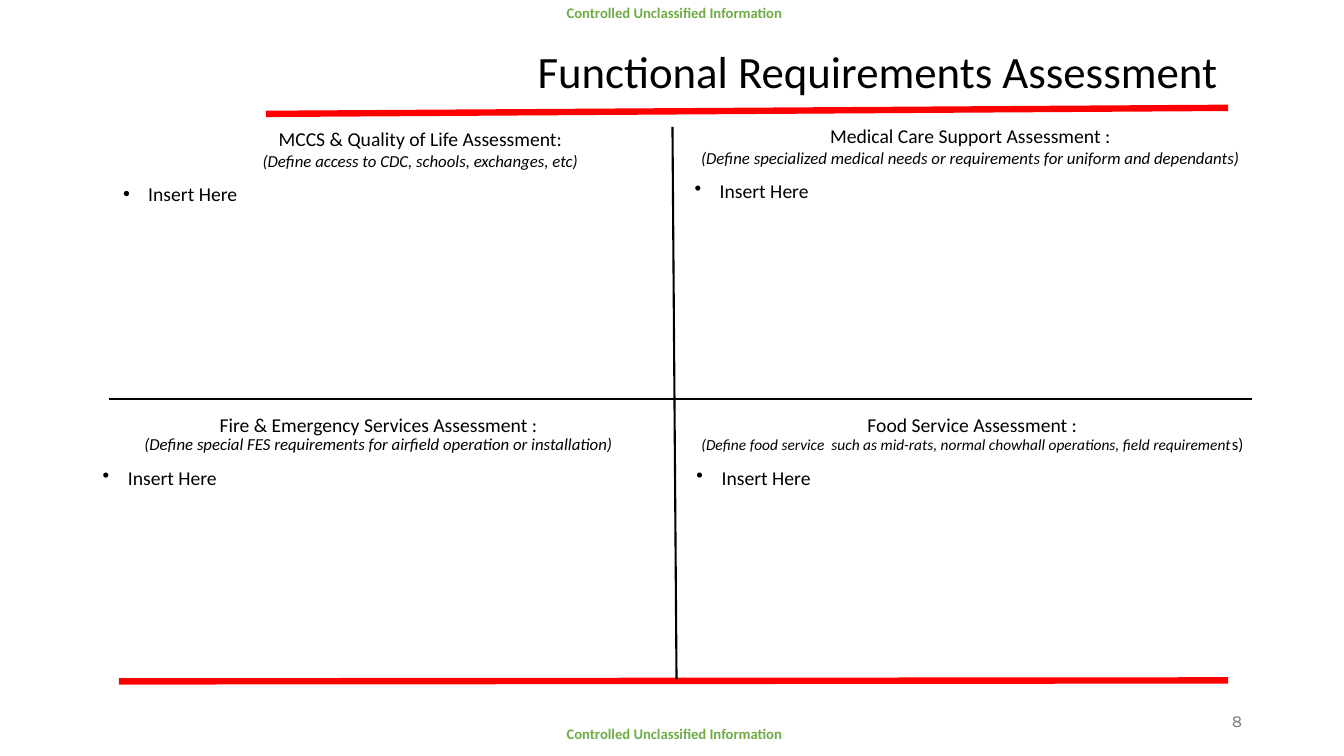
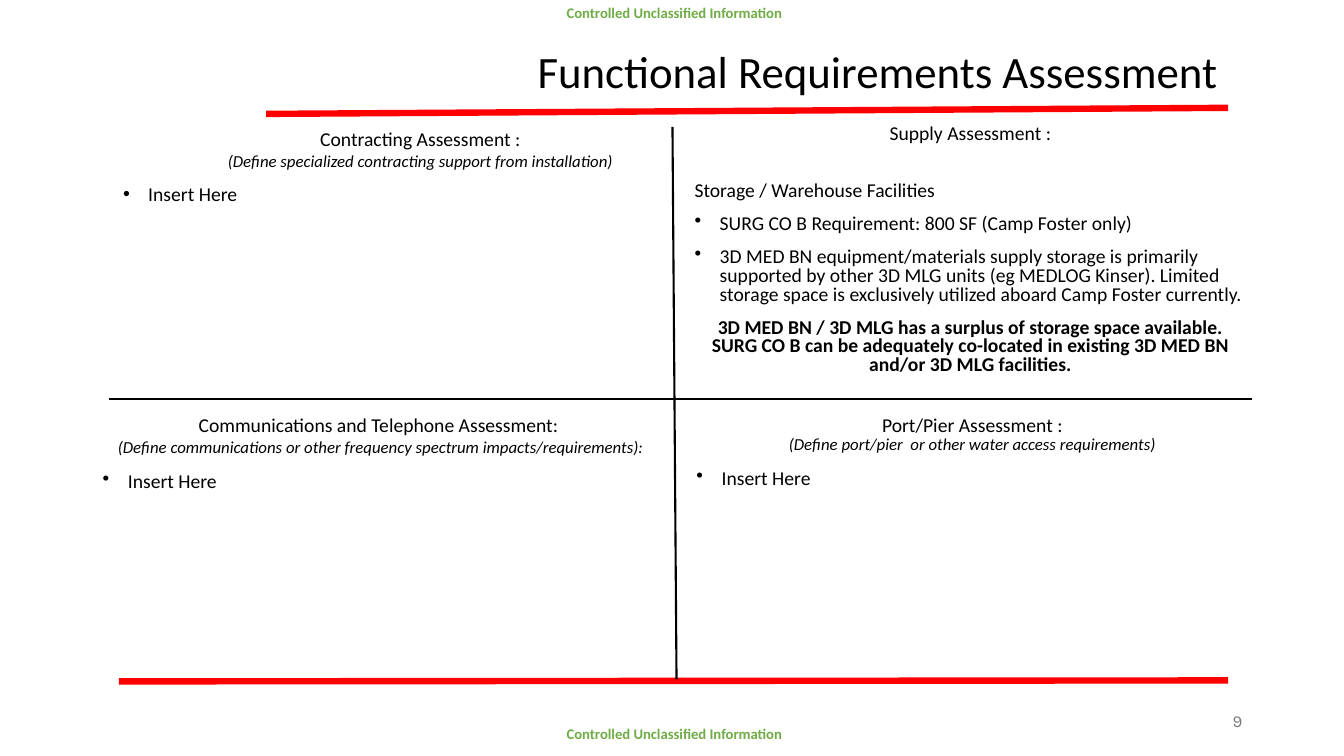
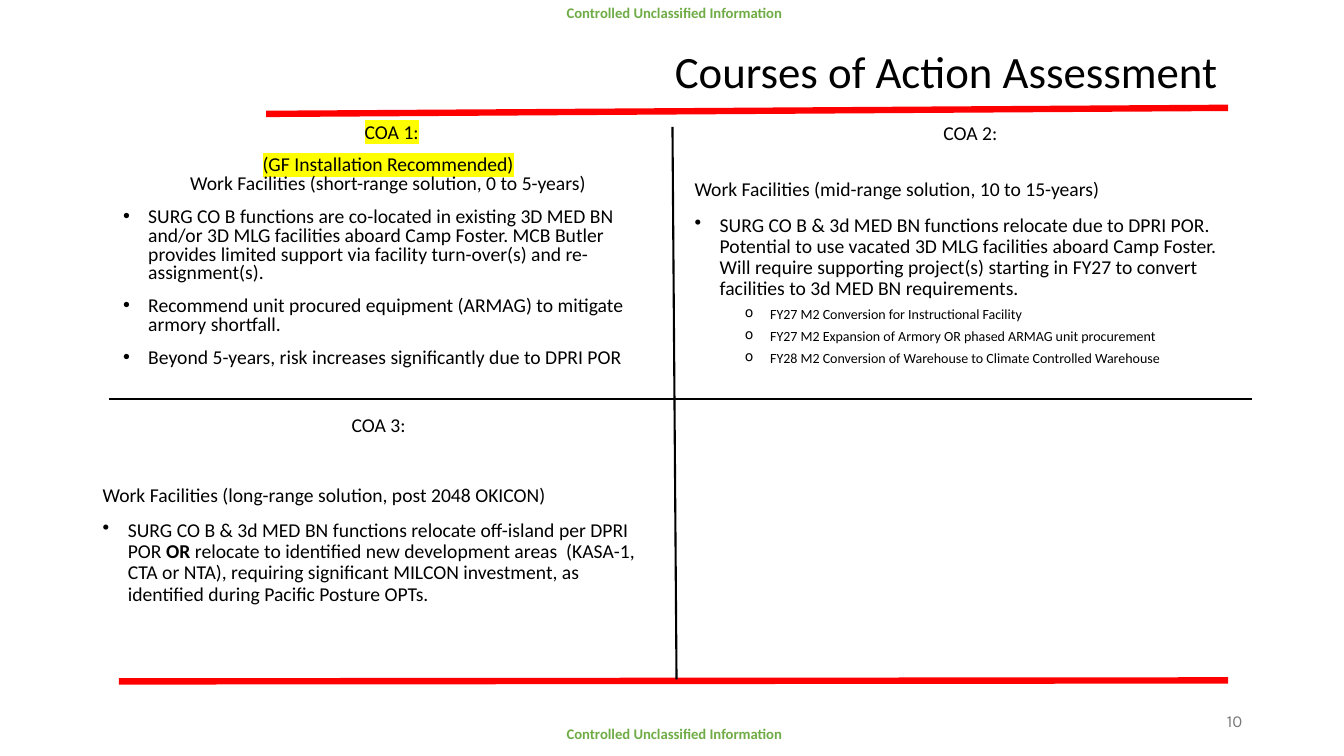
from dataclasses import dataclass

from lxml.etree import SubElement
from pptx import Presentation
from pptx.dml.color import RGBColor
from pptx.enum.shapes import MSO_CONNECTOR
from pptx.enum.text import MSO_ANCHOR, MSO_AUTO_SIZE, PP_ALIGN
from pptx.oxml.ns import qn
from pptx.util import Inches, Pt

COLORS = {"text": "000000", "rule": "FF0000", "marking": "6FAC46",
          "number": "797979", "highlight": "FFFF00"}
FONT = "Calibri"
NUMBER_FONT = "Karla"
MARKING = "Controlled Unclassified Information"
PANELS = {"nw": (1.12, 1.18, 5.46, 2.67), "ne": (6.79, 1.18, 5.67, 2.67),
          "sw": (0.92, 4.07, 5.67, 2.59), "se": (6.81, 4.07, 5.67, 2.59)}


@dataclass
class Para:
    runs: tuple
    align: PP_ALIGN = PP_ALIGN.LEFT
    line: float = 0.9
    before: float = 10
    left: float = 0
    bullet: str = ""
    size: float = 14
    level: int = 0


def heading(title, *hint, **options):
    runs = (title, "\n", *hint) if hint else (title,)
    return Para(runs, PP_ALIGN.CENTER, **options)


def hint(text, size=12):
    return text, size, "i"


def item(*runs, **options):
    return Para(runs, left=0.25, bullet="•", **options)


def subitem(text):
    return Para((text,), left=0.75, bullet="o", size=10, before=5, level=1)


def centred_hint(title, text):
    return heading(title, hint(text), line=1.0, left=0.64)


class Deck:
    def __init__(self):
        self.prs = Presentation()
        self.prs.slide_width = Inches(13.33)
        self.prs.slide_height = Inches(7.5)
        self.layout = self.prs.slide_layouts[1]
        self.slide = None

    def add_slide(self, title, number):
        first = self.slide is None
        self.slide = self.prs.slides.add_slide(self.layout)
        if first:
            for ends in ((2.64, 1.13, 12.18, 1.07), (1.18, 6.76, 12.18, 6.75)):
                rule = self.line(*ends, "rule", 4.56)
                self.layout.shapes._spTree.append(rule._element)
        self.title(title)
        self.line(6.67, 1.26, 6.71, 6.74)
        self.line(1.08, 3.96, 12.42, 3.96)
        self.page_number(number)
        for top in (0.03, 7.18):
            self.marking(top)

    def line(self, x1, y1, x2, y2, color="text", width=1.5):
        sp = self.slide.shapes.add_connector(
            MSO_CONNECTOR.STRAIGHT, *map(Inches, (x1, y1, x2, y2)))
        sp.line.color.rgb = RGBColor.from_string(COLORS[color])
        sp.line.width = Pt(width)
        SubElement(sp._element.spPr, qn("a:effectLst"))
        return sp

    def place(self, sp, box):
        sp.left, sp.top, sp.width, sp.height = map(Inches, box)
        tf = sp.text_frame
        tf.word_wrap = True
        tf.auto_size = MSO_AUTO_SIZE.NONE
        return tf

    def textbox(self, box):
        sp = self.slide.shapes.add_textbox(*map(Inches, box))
        return self.place(sp, box)

    def run(self, p, text, size, flags="", color="text", font=FONT):
        r = p.add_run()
        r.text = text
        r.font.size = Pt(size)
        r.font.bold = "b" in flags
        r.font.italic = "i" in flags
        r.font.color.rgb = RGBColor.from_string(COLORS[color])
        if "h" in flags:
            mark = SubElement(r.font._element, qn("a:highlight"))
            SubElement(mark, qn("a:srgbClr"), val=COLORS["highlight"])
        r.font.name = font

    def title(self, text):
        tf = self.place(self.slide.shapes.title, (2.64, 0.4, 9.54, 0.67))
        tf.vertical_anchor = MSO_ANCHOR.MIDDLE
        p = tf.paragraphs[0]
        p.alignment = PP_ALIGN.RIGHT
        p.line_spacing = 0.9
        self.run(p, text, 32)

    def page_number(self, number):
        tf = self.textbox((9.42, 6.95, 3, 0.4))
        tf.vertical_anchor = MSO_ANCHOR.MIDDLE
        p = tf.paragraphs[0]
        p.alignment = PP_ALIGN.RIGHT
        self.run(p, str(number), 12, color="number", font=NUMBER_FONT)

    def marking(self, top):
        tf = self.textbox((5.62, top, 2.52, 0.2))
        tf.margin_left = tf.margin_right = tf.margin_bottom = 0
        tf.margin_top = Inches(0.01)
        self.run(tf.paragraphs[0], MARKING, 10.5, "b", "marking")

    def paragraph(self, p, para, first):
        p.level = para.level
        pPr = p._p.get_or_add_pPr()
        pPr.set("marL", str(Inches(para.left)))
        pPr.set("indent", str(Inches(-0.25 if para.bullet else 0)))
        if para.bullet:
            SubElement(pPr, qn("a:buChar"), char=para.bullet)
        else:
            SubElement(pPr, qn("a:buNone"))
        p.alignment = para.align
        p.line_spacing = para.line
        p.space_before = Pt(0 if first else para.before)
        for run in para.runs:
            if run == "\n":
                p.add_line_break()
                SubElement(p._p[-1], qn("a:rPr"), sz=str(para.size * 100))
            elif isinstance(run, str):
                self.run(p, run, para.size)
            else:
                self.run(p, *run)

    def panel(self, corner, *paras, inset=0.05):
        box = PANELS[corner]
        if corner == "nw":
            tf = self.place(self.slide.placeholders[1], box)
        else:
            tf = self.textbox(box)
        tf.margin_top = Inches(inset)
        for i, para in enumerate(paras):
            p = tf.add_paragraph() if i else tf.paragraphs[0]
            self.paragraph(p, para, i == 0)


def main():
    deck = Deck()
    insert = item("Insert Here")

    deck.add_slide("Functional Requirements Assessment", 8)
    deck.panel("nw", centred_hint(
        "MCCS & Quality of Life Assessment:",
        "(Define access to CDC, schools, exchanges, etc)"), insert, inset=0.08)
    deck.panel("ne", heading(
        "Medical Care Support Assessment :",
        hint("(Define specialized medical needs or requirements for uniform "
             "and dependants)"), line=1.0), insert)
    deck.panel("sw", heading(
        "Fire & Emergency Services Assessment :",
        hint("(Define special FES requirements for airfield operation or "
             "installation)")), insert)
    deck.panel("se", heading(
        "Food Service Assessment :",
        hint("(Define food service  such as mid-rats, normal chowhall "
             "operations, field requirement", 11), ("s)", 12)), insert)

    deck.add_slide("Functional Requirements Assessment", 9)
    deck.panel("nw", centred_hint(
        "Contracting Assessment :",
        "(Define specialized contracting support from installation)"),
        insert, inset=0.08)
    deck.panel(
        "ne",
        heading("Supply Assessment :"),
        Para(("Storage / Warehouse Facilities",), line=0.8, before=27),
        item("SURG CO B Requirement: 800 SF (Camp Foster only)", line=0.8),
        item("3D MED BN equipment/materials supply storage is primarily "
             "supported by other 3D MLG units (eg MEDLOG Kinser). Limited "
             "storage space is exclusively utilized aboard Camp Foster "
             "currently.", line=0.8),
        heading(("3D MED BN / 3D MLG has a surplus of storage space "
                 "available. SURG CO B can be adequately co-located in "
                 "existing 3D MED BN and/or 3D MLG facilities.", 14, "b"),
                line=0.8))
    deck.panel("sw", heading(
        "Communications and Telephone Assessment:",
        " ", hint("(Define communications or other frequency spectrum "
                  "impacts/requirements):")), insert)
    deck.panel("se", heading(
        "Port/Pier Assessment :",
        hint("(Define port/pier  or other water access requirements)")),
        insert)

    deck.add_slide("Courses of Action Assessment", 10)
    deck.panel(
        "nw",
        heading(("COA 1:", 14, "h"), line=0.8, left=0.07),
        heading(("(GF Installation Recommended)", 14, "h"),
                "Work Facilities (short-range solution, 0 to 5-years)",
                line=0.8),
        item("SURG CO B functions are co-located in existing 3D MED BN and/or "
             "3D MLG facilities aboard Camp Foster. MCB Butler provides "
             "limited support via facility turn-over(s) and "
             "re-assignment(s).", line=0.8),
        item("Recommend unit procured equipment (ARMAG) to mitigate armory "
             "shortfall.", line=0.8),
        item("Beyond 5-years, risk increases significantly due to DPRI POR",
             line=0.8))
    deck.panel(
        "ne",
        heading("COA 2:"),
        Para(("Work Facilities (mid-range solution, 10 to 15-years)",),
             before=25),
        item("SURG CO B & 3d MED BN functions relocate due to DPRI POR. "
             "Potential to use vacated 3D MLG facilities aboard Camp Foster. "
             "Will require supporting project(s) starting in FY27 to convert "
             "facilities to 3d MED BN requirements."),
        subitem("FY27 M2 Conversion for Instructional Facility"),
        subitem("FY27 M2 Expansion of Armory OR phased ARMAG unit procurement"),
        subitem("FY28 M2 Conversion of Warehouse to Climate Controlled "
                "Warehouse"))
    deck.panel(
        "sw",
        heading("COA 3:"),
        Para(("Work Facilities (long-range solution, post 2048 OKICON)",),
             before=35),
        item("SURG CO B & 3d MED BN functions relocate off-island per DPRI "
             "POR ", ("OR", 14, "b"),
             " relocate to identified new development areas  (KASA-1, CTA or "
             "NTA), requiring significant MILCON investment, as identified "
             "during Pacific Posture OPTs."))

    deck.prs.save("out.pptx")


if __name__ == "__main__":
    main()
